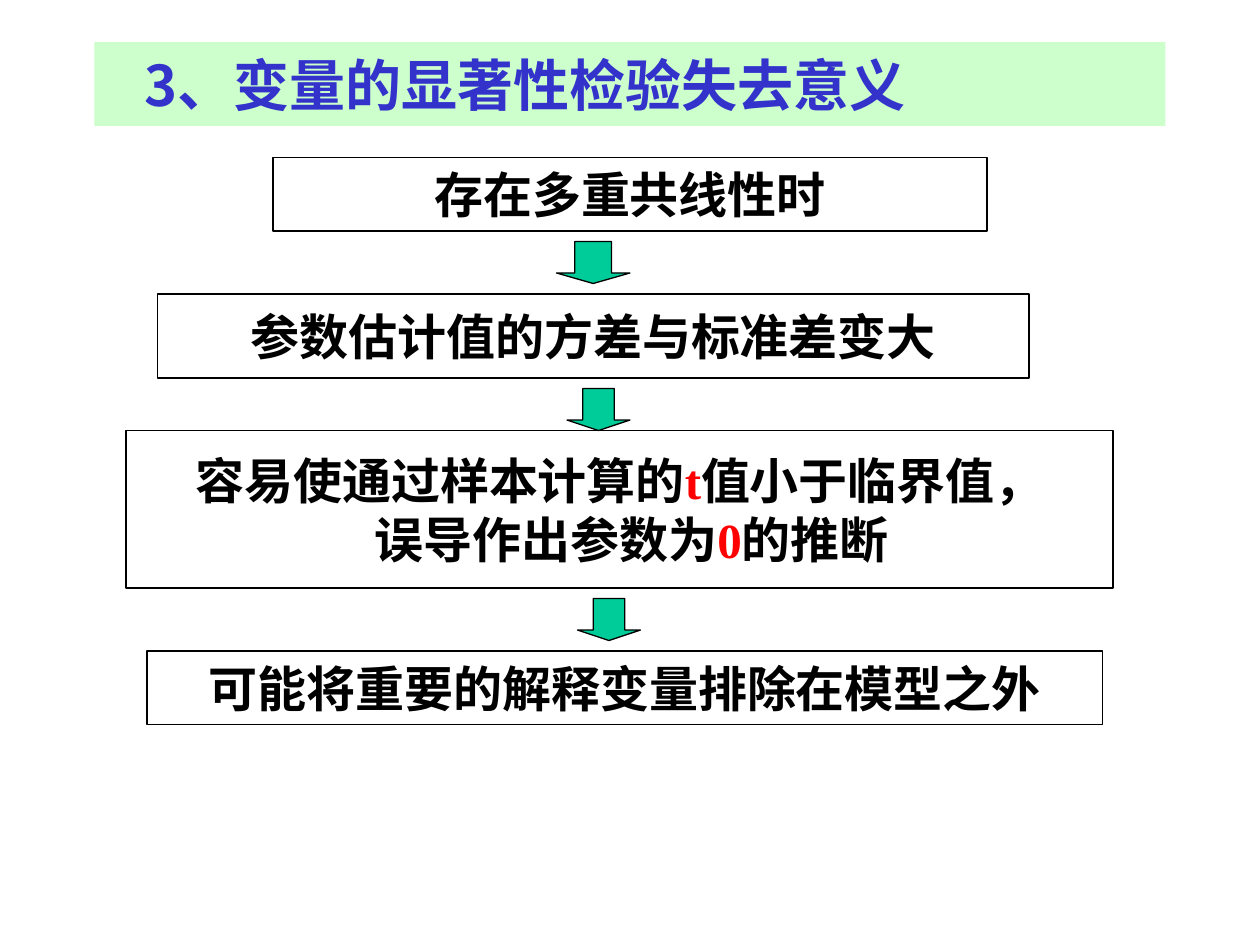
import pptx
import pptx.dml.color
import pptx.enum.shapes
import pptx.enum.text
import pptx.oxml
import pptx.oxml.ns
import pptx.util

COLORS = {"band": "CCFFCC", "title": "3333CC", "text": "000000",
          "accent": "FF0000", "arrow": "00CC99", "line": "000000"}
CJK_FONT = "Noto Sans CJK SC"
UNIT = pptx.util.Inches(1) // 12  # the slide is a grid of 120 columns by 90 rows
SHAPES = pptx.enum.shapes.MSO_SHAPE
ALIGN = pptx.enum.text.PP_ALIGN

presentation = pptx.Presentation()
presentation.slide_width = 120 * UNIT
presentation.slide_height = 90 * UNIT
slide = presentation.slides.add_slide(presentation.slide_layouts[6])


def add_block(kind, cells, fill=None, outlined=True):
    shape = slide.shapes.add_shape(kind, *(cell * UNIT for cell in cells))
    shape.shadow.inherit = False
    if fill:
        shape.fill.solid()
        shape.fill.fore_color.rgb = pptx.dml.color.RGBColor.from_string(COLORS[fill])
    else:
        shape.fill.background()
    if outlined:
        shape.line.color.rgb = pptx.dml.color.RGBColor.from_string(COLORS["line"])
        shape.line.width = pptx.util.Pt(0.75)
    else:
        shape.line.fill.background()
    return shape


def write_paragraph(paragraph, runs, size, latin_font, alignment, indent=0):
    """Fill a bold paragraph with (text, colour name) runs; indent is in points."""
    paragraph.alignment = alignment
    paragraph.font.size = pptx.util.Pt(size)
    paragraph.font.bold = True
    paragraph.font.name = latin_font
    properties = paragraph._p.get_or_add_pPr()
    properties.set("marL", str(pptx.util.Pt(indent)))
    east_asian = pptx.oxml.parse_xml(
        f'<a:ea {pptx.oxml.ns.nsdecls("a")} typeface="{CJK_FONT}"/>')
    properties.find(pptx.oxml.ns.qn("a:defRPr")).append(east_asian)
    for text, color in runs:
        run = paragraph.add_run()
        run.text = text
        run.font.color.rgb = pptx.dml.color.RGBColor.from_string(COLORS[color])


title = add_block(SHAPES.RECTANGLE, (9, 4, 102, 8), fill="band", outlined=False)
title.text_frame.vertical_anchor = pptx.enum.text.MSO_ANCHOR.MIDDLE
write_paragraph(title.text_frame.paragraphs[0], [("3、变量的显著性检验失去意义", "title")],
                32, CJK_FONT, ALIGN.LEFT, indent=21.5)

# Each step: grid cells, then lines of (runs, indent)
steps = [
    ((26, 15, 68, 7), [([("存在多重共线性时", "text")], 0)]),
    ((15, 28, 83, 8), [([("参数估计值的方差与标准差变大", "text")], 0)]),
    ((12, 41, 94, 15), [
        ([("容易使通过样本计算的", "text"), ("t", "accent"), ("值小于临界值，", "text")], 0),
        ([("误导作出参数为", "text"), ("0", "accent"), ("的推断", "text")], 14)]),
    ((14, 62, 91, 7), [([("可能将重要的解释变量排除在模型之外", "text")], 0)]),
]
for cells, lines in steps:
    frame = add_block(SHAPES.RECTANGLE, cells).text_frame
    frame.word_wrap = False
    frame.vertical_anchor = pptx.enum.text.MSO_ANCHOR.MIDDLE
    for number, (runs, indent) in enumerate(lines):
        paragraph = frame.add_paragraph() if number else frame.paragraphs[0]
        write_paragraph(paragraph, runs, 28, "Times New Roman", ALIGN.CENTER, indent)

for left, top, width in [(53, 23, 7), (54, 37, 6), (55, 57, 6)]:
    arrow = add_block(SHAPES.DOWN_ARROW, (left, top, width, 4), fill="arrow")
    arrow.adjustments[0] = 0.5
    arrow.adjustments[1] = 0.25

presentation.save("out.pptx")
